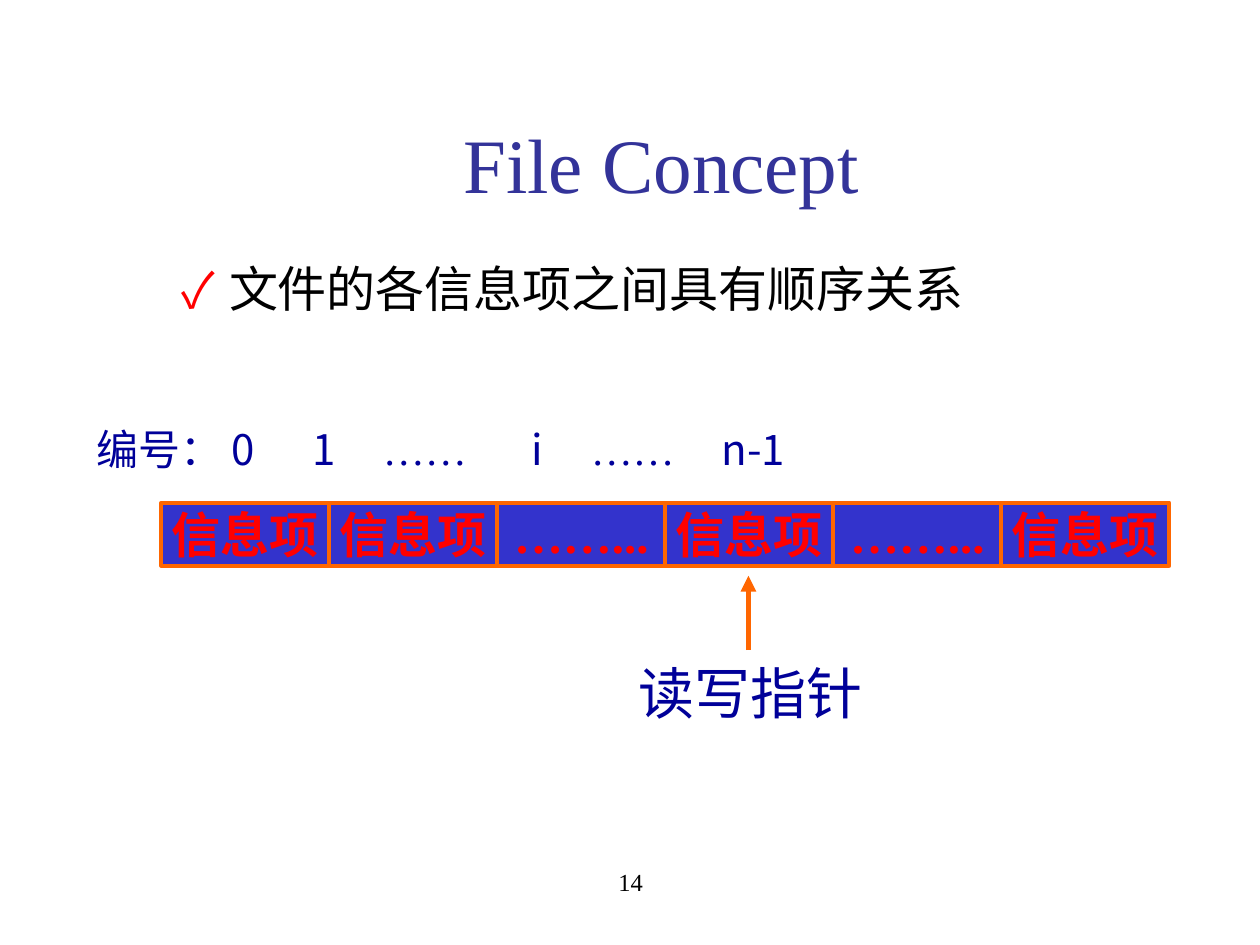
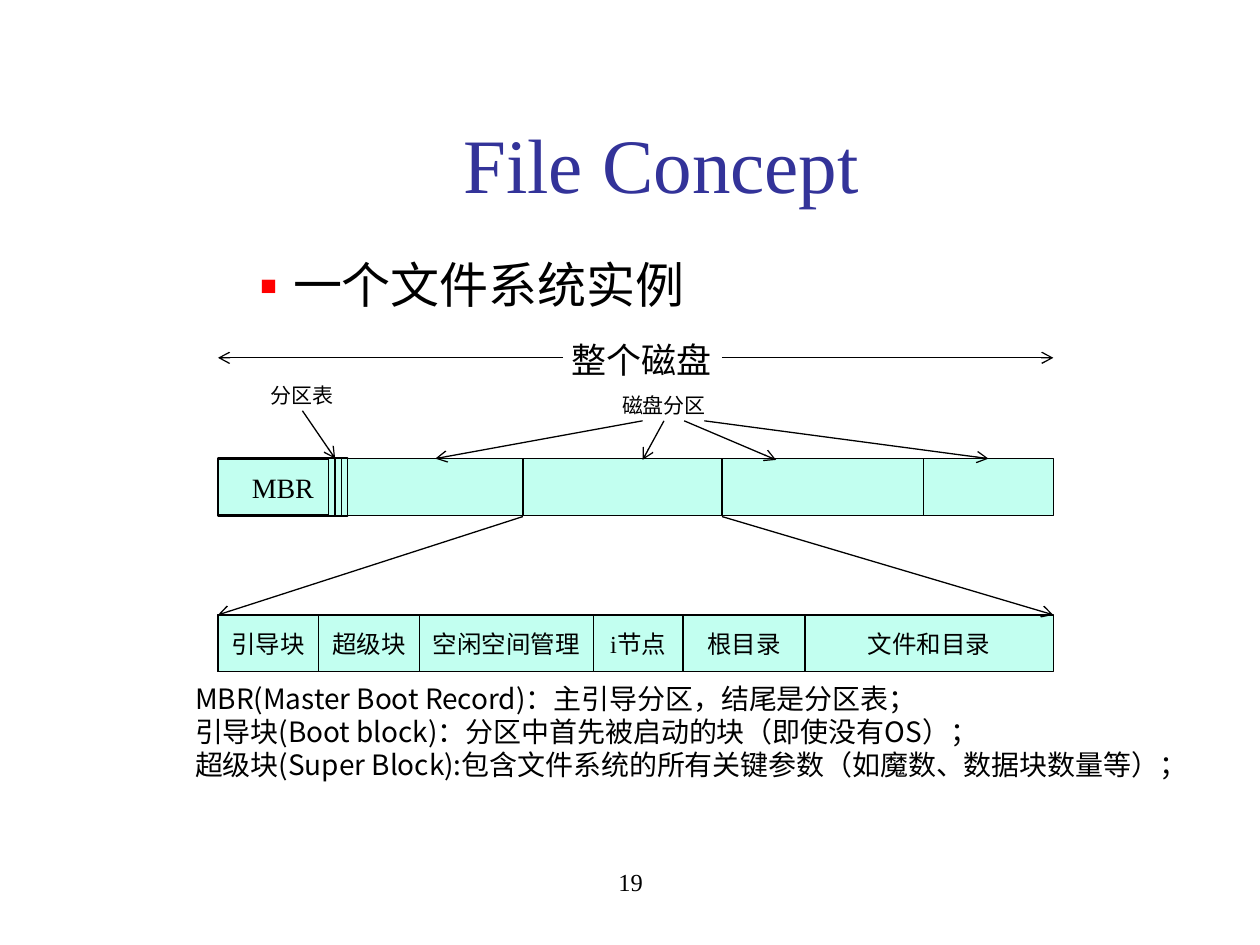
from lxml.etree import SubElement
from pptx import Presentation
from pptx.dml.color import RGBColor as RGB
from pptx.enum.shapes import MSO_CONNECTOR as LINK, MSO_SHAPE as SHAPE
from pptx.enum.text import MSO_ANCHOR as ANCHOR, PP_ALIGN as ALIGN
from pptx.oxml.ns import qn
from pptx.util import Inches, Pt

BLACK = RGB(0, 0, 0)
RED = RGB(0xFF, 0, 0)
INDIGO = RGB(0x33, 0x33, 0x99)
NAVY = RGB(0, 0, 0x99)
BLUE = RGB(0x33, 0x33, 0xCC)
ORANGE = RGB(0xFF, 0x66, 0)
MINT = RGB(0xC2, 0xFF, 0xF0)
TIMES, NOTO = "Times New Roman", "Noto Sans CJK SC"

deck = Presentation()
deck.slide_width, deck.slide_height = Inches(10), Inches(7.5)


def put(shape, text="", size=14, face=TIMES, ink=BLACK, bold=False, side=ALIGN.CENTER,
        anchor=ANCHOR.MIDDLE, fill=None, edge=BLACK, width=0.75):
    """Style a shape and write its text: one paragraph a line, runs parted by |."""
    if fill:
        shape.shadow.inherit = False
        shape.fill.solid()
        shape.fill.fore_color.rgb = fill
        shape.line.color.rgb = edge
        shape.line.width = Pt(width)
    frame = shape.text_frame
    frame.word_wrap = side == ALIGN.LEFT
    frame.vertical_anchor = anchor
    if side == ALIGN.CENTER:
        frame.margin_left = frame.margin_right = 0
    for n, line in enumerate(text.split("\n") if text else []):
        para = frame.add_paragraph() if n else frame.paragraphs[0]
        para.alignment = side
        for part in line.split("|"):
            run = para.add_run()
            run.text = part
            dots = "…" in part
            look = {"name": TIMES if dots else face, "size": Pt(size), "bold": bold}
            for key, value in look.items():
                setattr(run.font, key, value)
            run.font.color.rgb = ink
            SubElement(run.font._element, qn("a:ea"), typeface=TIMES if dots else NOTO)
    return shape


def arrow(slide, start, end, ink=BLACK, width=0.75, tip="arrow", goal=None):
    """Draw a line with its tip at end; goal is a box whose top it joins."""
    link = slide.shapes.add_connector(LINK.STRAIGHT, *map(Inches, start + end))
    if goal:
        link.end_connect(goal, 0)
    link.line.color.rgb = ink
    link.line.width = Pt(width)
    SubElement(link.line._get_or_add_ln(), qn("a:tailEnd"), type=tip)
    SubElement(link._element.spPr, qn("a:effectLst"))


# Title, page number and heading of both slides
slides = []
for page, mark, head, top, left, hang in (
        ("14", "✓", "文件的各信息项之间具有顺序关系", 2, 0.38, 0.38),
        ("19", "▪", "一个文件系统实例", 1.97, 0.81, 0.31)):
    slide = deck.slides.add_slide(deck.slide_layouts[5])
    slides.append(slide)
    title = slide.shapes.title
    title.left, title.top, title.width, title.height = map(Inches, (1, 0.67, 8.5, 1.25))
    put(title, "File Concept", 44, ink=INDIGO)
    foot = slide.shapes.add_textbox(*map(Inches, (3.42, 6.83, 3.17, 0.5)))
    put(foot, page, anchor=ANCHOR.TOP)
    body = slide.shapes.add_textbox(*map(Inches, (1.34, top, 7.9, 0.7)))
    put(body, head, 28, NOTO, side=ALIGN.LEFT, anchor=ANCHOR.TOP)
    props = body.text_frame.paragraphs[0]._p.get_or_add_pPr()
    props.set("marL", str(Inches(left)))
    props.set("indent", str(-Inches(hang)))
    SubElement(SubElement(props, qn("a:buClr")), qn("a:srgbClr"), val=str(RED))
    SubElement(props, qn("a:buFont"), typeface=NOTO)
    SubElement(props, qn("a:buChar"), char=mark)
items, disk = slides

# Slide 1: numbered items and the read/write pointer
row = items.shapes.add_textbox(*map(Inches, (0.67, 3.31, 8.75, 0.5)))
put(row, "编号：\t0\t1\t|……|\ti\t|……|\tn-1", 24, NOTO, NAVY, side=ALIGN.LEFT)
tabs = SubElement(row.text_frame.paragraphs[0]._p.get_or_add_pPr(), qn("a:tabLst"))
for stop in (1.07, 1.71, 2.27, 3.45, 3.92, 4.96):
    SubElement(tabs, qn("a:tab"), pos=str(Inches(stop)), algn="l")

ITEM, DOTS = "信息项", "……..."
pitch = 4 / 3
for n, text in enumerate((ITEM, ITEM, DOTS, ITEM, DOTS, ITEM)):
    cell = items.shapes.add_shape(
        SHAPE.RECTANGLE, *map(Inches, (1.28 + n * pitch, 3.99, pitch, 0.5)))
    put(cell, text, 28, ink=RED, bold=True, fill=BLUE, edge=ORANGE, width=2.25)

label = items.shapes.add_textbox(*map(Inches, (4.97, 5.17, 1.98, 0.64)))
put(label, "读写指针", 32, ink=NAVY)
arrow(items, (5.94, 5.16), (5.94, 4.57), ORANGE, 3, "triangle")

# Slide 2: the whole disk
LEFT, RIGHT, DISK, PART, TALL = 1.73, 8.36, 3.64, 4.88, 0.45
arrow(disk, (4.47, 2.84), (LEFT, 2.84))
arrow(disk, (5.73, 2.84), (RIGHT, 2.84))

mbr = disk.shapes.add_shape(SHAPE.RECTANGLE, *map(Inches, (LEFT, DISK, 1.03, TALL)))
put(mbr, "MBR", 16, fill=MINT, width=1.5)
edges = (2.76, 4.15, 5.73, 7.33, RIGHT)
spans = list(zip(edges, edges[1:])) + [(2.76 - n * 0.05, 2.81 - n * 0.05) for n in (1, 2, 3)]
parts = []
for start, end in spans:
    part = disk.shapes.add_shape(
        SHAPE.RECTANGLE, *map(Inches, (start, DISK, end - start, TALL)))
    parts.append(put(part, fill=MINT))

arrow(disk, (2.4, 3.26), (2.66, DISK))
for start, end, goal in ((5.1, 3.45, parts[0]), (5.27, 5.1, None),
                         (5.43, 6.16, None), (5.59, 7.85, parts[3])):
    arrow(disk, (start, 3.34), (end, 3.65), goal=goal)

# Slide 2: one partition, enlarged
whole = disk.shapes.add_shape(
    SHAPE.RECTANGLE, *map(Inches, (LEFT, PART, RIGHT - LEFT, TALL)))
put(whole, fill=MINT)
arrow(disk, (4.15, 4.1), (LEFT, PART))
arrow(disk, (5.73, 4.1), (RIGHT, PART))
start = LEFT
for text, wide in (("引导块", 0.8), ("超级块", 0.8), ("空闲空间管理", 1.38),
                   ("i节点", 0.71), ("根目录", 0.97)):
    block = disk.shapes.add_shape(SHAPE.RECTANGLE, *map(Inches, (start, PART, wide, TALL)))
    put(block, text, fill=MINT)
    start += wide

for text, size, face, place in (
        ("整个磁盘", 20, NOTO, (4.44, 2.64, 1.31, 0.44)),
        ("分区表", 12, NOTO, (2.05, 2.99, 0.7, 0.3)),
        ("磁盘分区", 12, NOTO, (4.84, 3.07, 0.86, 0.3)),
        ("文件和目录", 14, TIMES, (6.79, 4.94, 1.17, 0.34))):
    label = disk.shapes.add_textbox(*map(Inches, place))
    put(label, text, size, face, anchor=ANCHOR.TOP)

terms = disk.shapes.add_textbox(*map(Inches, (1.45, 5.36, 8.6, 0.9)))
put(terms, """MBR(Master Boot Record)：主引导分区，结尾是分区表；
引导块(Boot block)：分区中首先被启动的块（即使没有OS）；
超级块(Super Block):包含文件系统的所有关键参数（如魔数、数据块数量等）；""",
    16, NOTO, side=ALIGN.LEFT, anchor=ANCHOR.TOP)
for para in terms.text_frame.paragraphs:
    para.line_spacing = Pt(19)

deck.save("out.pptx")
